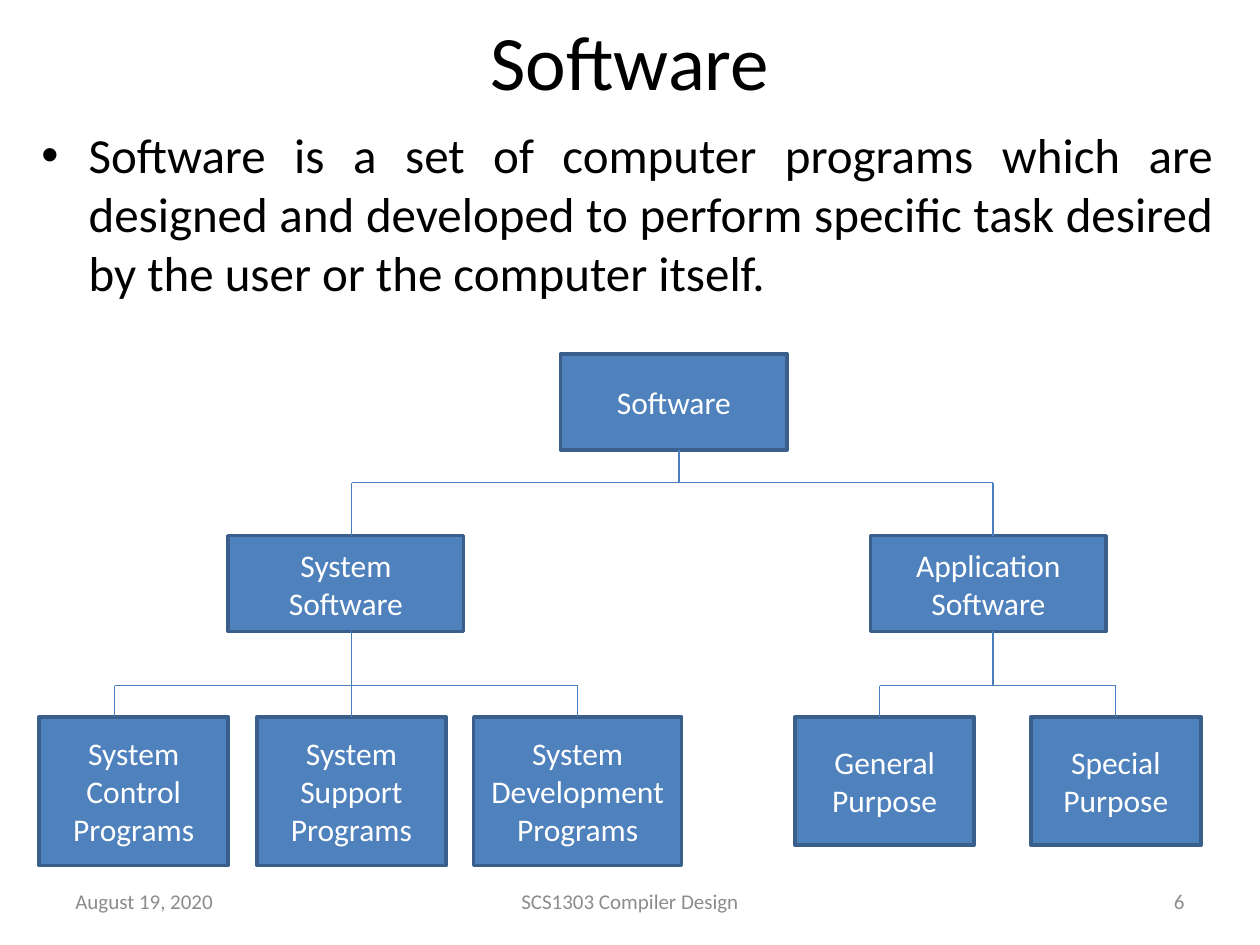
from pptx import Presentation
from pptx.dml.color import RGBColor
from pptx.enum.shapes import MSO_CONNECTOR, MSO_SHAPE
from pptx.enum.text import MSO_ANCHOR, MSO_AUTO_SIZE, PP_ALIGN
from pptx.oxml.ns import qn
from pptx.util import Cm, Pt
from lxml.etree import SubElement


def color(hex):
    return RGBColor.from_string(hex)


def place(shape, x, y, w, h):
    shape.left, shape.top = Cm(x), Cm(y)
    shape.width, shape.height = Cm(w), Cm(h)


def write(shape, text, size, ink, align, anchor=MSO_ANCHOR.MIDDLE):
    frame = shape.text_frame
    frame.word_wrap = True
    frame.auto_size = MSO_AUTO_SIZE.NONE
    frame.vertical_anchor = anchor
    para = frame.paragraphs[0]
    para.alignment = align
    run = para.add_run()
    run.text = text
    run.font.name, run.font.size = "Calibri", Pt(size)
    run.font.color.rgb = color(ink)


def node(group, text, x, y, w, h):
    box = group.shapes.add_shape(MSO_SHAPE.RECTANGLE, Cm(x), Cm(y), Cm(w), Cm(h))
    box.shadow.inherit = False
    box.fill.solid()
    box.fill.fore_color.rgb = color("4F81BD")
    box.line.color.rgb = color("3A5F8C")
    box.line.width = Pt(2)
    write(box, text, 18, "FFFFFF", PP_ALIGN.CENTER)
    return box


def link(group, x1, y1, x2, y2):
    line = group.shapes.add_connector(
        MSO_CONNECTOR.STRAIGHT, Cm(x1), Cm(y1), Cm(x2), Cm(y2))
    line.line.color.rgb = color("4B7EBC")
    line.line.width = Pt(0.75)
    SubElement(line._element.spPr, qn("a:effectLst"))
    return line


def branch(group, stem, top, bus, y, h, kids):
    """Draw a stem, a bus and a row of nodes; each kid is text, left, width, drop.

    A drop of None falls on the middle of the node and is joined to it.
    """
    drops = []
    link(group, stem, top, stem, bus)
    for text, x, w, drop in kids:
        box = node(group, text, x, y, w, h)
        end = x + w / 2 if drop is None else drop
        line = link(group, end, bus, end, y)
        if drop is None:
            line.end_connect(box, 0)
        drops.append(end)
    link(group, min(drops), bus, max(drops), bus)


def tree(slide, x, y):
    group = slide.shapes.add_group_shape()
    high = 1.93
    mid, low = y + 3.66, y + 7.31
    left, right = x + 6.3, x + 19.23
    # Root and its two kinds
    node(group, "Software", x + 10.51, y, 4.57, high)
    branch(group, x + 12.9, y + high, y + 2.59, mid, high, [
        ("System Software", x + 3.81, 4.75, left),
        ("Application Software", x + 16.76, 4.75, right)])
    # Leaves
    bus = y + 6.68
    branch(group, left, mid + high, bus, low, 3, [
        ("System Control Programs", x, 3.81, x + 1.52),
        ("System Support Programs", x + 4.39, 3.81, None),
        ("System Development Programs", x + 8.76, 4.19, None)])
    branch(group, right, mid + high, bus, low, 2.59, [
        ("General Purpose", x + 15.24, 3.61, x + 16.94),
        ("Special Purpose", x + 19.99, 3.43, None)])


def head(slide, x, y, w, h):
    title = slide.shapes.title
    place(title, x, y, w, h)
    write(title, "Software", 44, "000000", PP_ALIGN.CENTER)


def body(slide, x, y, w, h):
    text = slide.placeholders[1]
    place(text, x, y, w, h)
    write(text, "Software is a set of computer programs which are designed and "
          "developed to perform specific task desired by the user or the "
          "computer itself.", 28, "000000", PP_ALIGN.JUSTIFY, MSO_ANCHOR.TOP)


def foot(slide, x, y, w, h):
    side, mid = 5.92, 8.05
    for text, left, wide, align in [
            ("August 19, 2020", x, side, PP_ALIGN.LEFT),
            ("SCS1303 Compiler Design", x + (w - mid) / 2, mid, PP_ALIGN.CENTER),
            ("6", x + w - side, side, PP_ALIGN.RIGHT)]:
        box = slide.shapes.add_textbox(Cm(left), Cm(y), Cm(wide), Cm(h))
        write(box, text, 12, "8C8C8C", align)


def main():
    deck = Presentation()
    deck.slide_width, deck.slide_height = Cm(25.4), Cm(19.05)
    slide = deck.slides.add_slide(deck.slide_layouts[1])
    head(slide, 1.27, 0, 22.86, 2.39)
    body(slide, 0.58, 2.39, 24.13, 16.66)
    tree(slide, 0.79, 7.14)
    foot(slide, 1.27, 17.65, 22.86, 1.02)
    deck.save("out.pptx")


if __name__ == "__main__":
    main()
